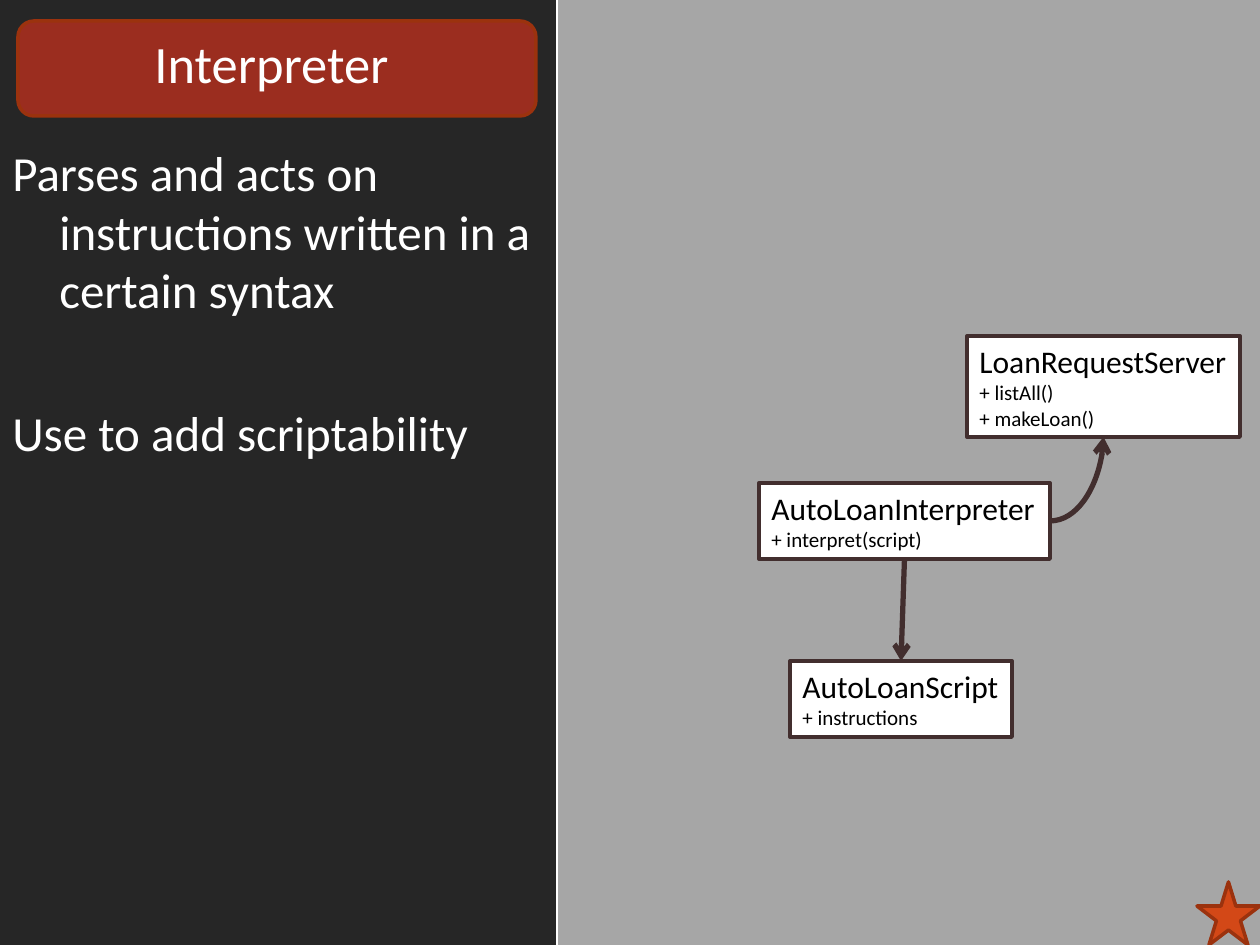
from dataclasses import dataclass

from lxml import etree
from pptx import Presentation, util as u
from pptx.dml.color import RGBColor
from pptx.enum import shapes, text
from pptx.oxml import ns

# Content
TITLE = "Interpreter"
POINTS = [
    "Parses and acts on instructions written in a certain syntax",
    "Use to add scriptability",
]
# name, members, box (left, top, width, height) in px
CLASSES = [
    ("AutoLoanScript", ["+ instructions"], (790, 661, 222, 76)),
    ("AutoLoanInterpreter", ["+ interpret(script)"], (759, 483, 291, 76)),
    ("LoanRequestServer", ["+ listAll()", "+ makeLoan()"], (967, 336, 273, 101)),
]
BOXES = {name: box for name, _, box in CLASSES}

PX = u.Inches(1) / 126
WIDTH, HEIGHT = 1260, 945
PANEL_WIDTH = 557
STAR_SIZE = 63


@dataclass(frozen=True)
class Theme:
    font: str = "Calibri"
    background: str = "A6A6A6"
    panel: str = "262626"
    banner: str = "9B2D1F"
    accent: str = "D34817"
    accent_line: str = "9B320E"
    diagram_line: str = "422E2E"
    light: str = "FFFFFF"
    dark: str = "000000"
    title_size: int = 30
    body_size: int = 28
    class_size: int = 18
    member_size: int = 12


THEME = Theme()


def px(value):
    return u.Emu(round(value * PX))


def rgb(value):
    return RGBColor.from_string(value)


def add_box(slide, kind, box, fill, line=None, line_width=2):
    shape = slide.shapes.add_shape(kind, *map(px, box))
    shape.shadow.inherit = False
    shape.fill.solid()
    shape.fill.fore_color.rgb = rgb(fill)
    if line:
        shape.line.color.rgb = rgb(line)
        shape.line.width = u.Pt(line_width)
    else:
        shape.line.fill.background()
    return shape


def add_text(frame, words, size, color, align=text.PP_ALIGN.LEFT, before=0, hanging=0):
    """Write one paragraph, using the empty first one when there is one."""
    first = frame.paragraphs[0]
    paragraph = frame.add_paragraph() if first.runs else first
    paragraph.alignment = align
    paragraph.space_before = u.Pt(before)
    if hanging:
        properties = paragraph._p.get_or_add_pPr()
        properties.set("marL", str(px(hanging)))
        properties.set("indent", str(-px(hanging)))
    run = paragraph.add_run()
    run.text = words
    run.font.name = THEME.font
    run.font.size = u.Pt(size)
    run.font.color.rgb = rgb(color)


def add_line(slide, start, end, color, width, arrow=False, curved=False):
    kind = shapes.MSO_CONNECTOR.CURVE if curved else shapes.MSO_CONNECTOR.STRAIGHT
    connector = slide.shapes.add_connector(kind, *map(px, start + end))
    connector.line.color.rgb = rgb(color)
    connector.line.width = u.Pt(width)
    properties = connector._element.spPr
    if curved:  # a single quarter bend
        properties.find(ns.qn("a:prstGeom")).set("prst", "curvedConnector2")
    if arrow:
        etree.SubElement(connector.line._get_or_add_ln(), ns.qn("a:tailEnd"), type="arrow")
    etree.SubElement(properties, ns.qn("a:effectLst"))


def bottom_center(box):
    left, top, width, height = box
    return left + width / 2, top + height


def top_center(box):
    left, top, width, _ = box
    return left + width / 2, top


def right_middle(box):
    left, top, width, height = box
    return left + width, top + height / 2


def main():
    presentation = Presentation()
    presentation.slide_width, presentation.slide_height = px(WIDTH), px(HEIGHT)
    slide = presentation.slides.add_slide(presentation.slide_layouts[6])
    slide.background.fill.solid()
    slide.background.fill.fore_color.rgb = rgb(THEME.background)
    kinds = shapes.MSO_SHAPE

    # Left panel with its banner and edge
    add_box(slide, kinds.RECTANGLE, (0, 0, PANEL_WIDTH, HEIGHT), THEME.panel)
    add_box(slide, kinds.ROUNDED_RECTANGLE, (18, 21, 518, 95), THEME.banner, THEME.accent_line)
    add_line(slide, (PANEL_WIDTH, 0), (PANEL_WIDTH, HEIGHT), THEME.light, 1)

    # Points
    frame = slide.shapes.add_textbox(*map(px, (0, 136, 556, 809))).text_frame
    frame.word_wrap = True
    for index, point in enumerate(POINTS):
        add_text(frame, point, THEME.body_size, THEME.light,
                 before=48 if index else 0, hanging=47)

    # Title
    frame = slide.shapes.add_textbox(*map(px, (10, 21, 523, 84))).text_frame
    frame.word_wrap = True
    frame.vertical_anchor = text.MSO_ANCHOR.MIDDLE
    add_text(frame, TITLE, THEME.title_size, THEME.light, align=text.PP_ALIGN.CENTER)

    # Class boxes
    for name, members, box in CLASSES:
        shape = add_box(slide, kinds.RECTANGLE, box, THEME.light, THEME.diagram_line, 2.25)
        frame = shape.text_frame
        frame.word_wrap = False
        frame.auto_size = text.MSO_AUTO_SIZE.SHAPE_TO_FIT_TEXT
        frame.vertical_anchor = text.MSO_ANCHOR.TOP
        add_text(frame, name, THEME.class_size, THEME.dark)
        for member in members:
            add_text(frame, member, THEME.member_size, THEME.dark)

    # Arrows from the interpreter
    interpreter = BOXES["AutoLoanInterpreter"]
    add_line(slide, bottom_center(interpreter), top_center(BOXES["AutoLoanScript"]),
             THEME.diagram_line, 3, arrow=True)
    add_line(slide, right_middle(interpreter), bottom_center(BOXES["LoanRequestServer"]),
             THEME.diagram_line, 3, arrow=True, curved=True)

    # Corner star
    corner = (WIDTH - STAR_SIZE, HEIGHT - STAR_SIZE, STAR_SIZE, STAR_SIZE)
    add_box(slide, kinds.STAR_5_POINT, corner, THEME.accent, THEME.accent_line)

    presentation.save("out.pptx")


if __name__ == "__main__":
    main()
